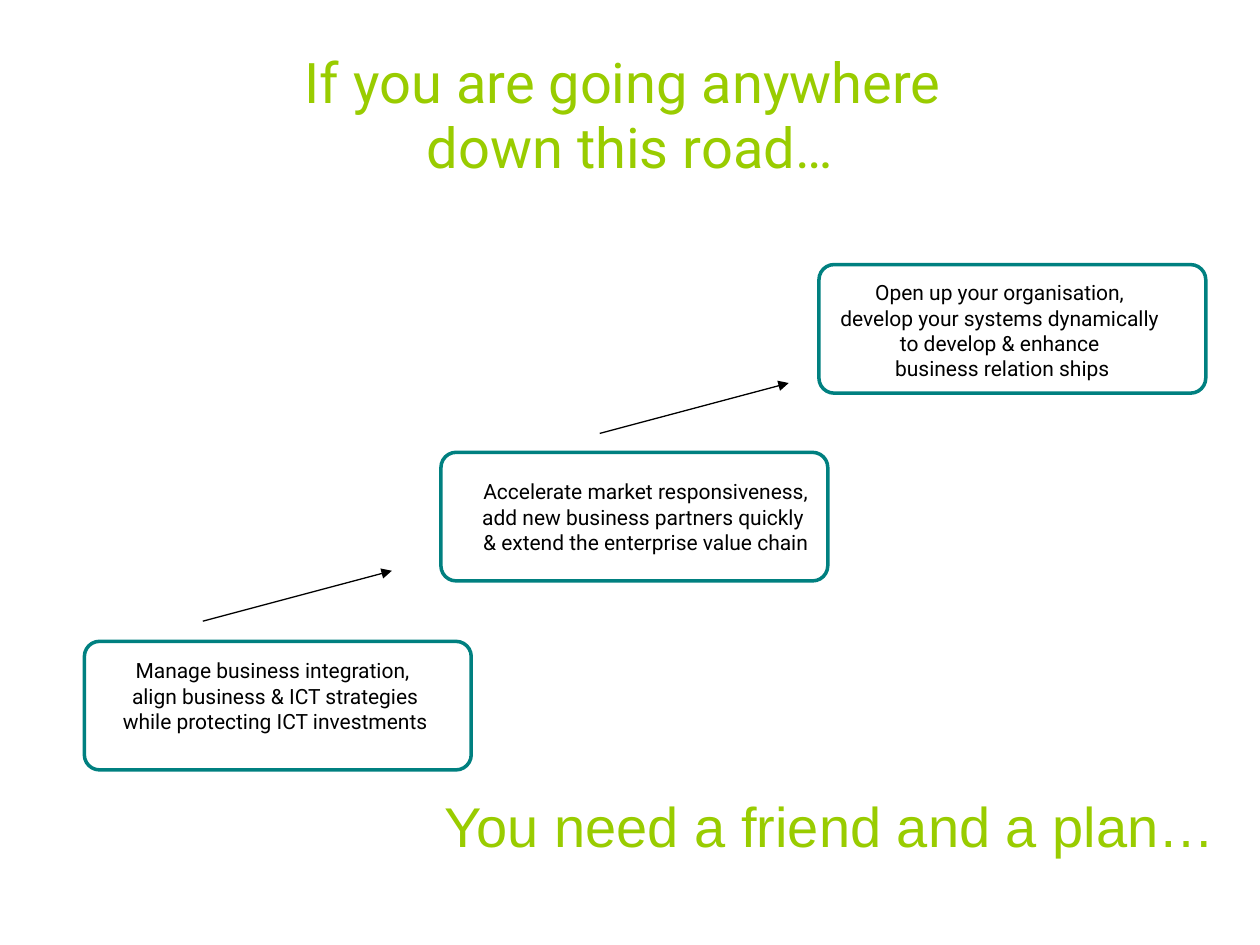
from lxml import etree
from pptx import Presentation
from pptx.dml.color import RGBColor
from pptx.enum.shapes import MSO_CONNECTOR, MSO_SHAPE
from pptx.enum.text import MSO_ANCHOR, PP_ALIGN
from pptx.oxml.ns import qn
from pptx.util import Inches, Pt

ROUNDED = MSO_SHAPE.ROUNDED_RECTANGLE
STRAIGHT = MSO_CONNECTOR.STRAIGHT
TOP, MIDDLE = MSO_ANCHOR.TOP, MSO_ANCHOR.MIDDLE
LEFT, CENTER = PP_ALIGN.LEFT, PP_ALIGN.CENTER

LIME = RGBColor(0x99, 0xCC, 0x00)
TEAL = RGBColor(0x00, 0x80, 0x80)
BLACK = RGBColor(0x00, 0x00, 0x00)

BOX_W, BOX_H, CORNER = 3.07, 1.02, 0.12
ARROW_W, ARROW_RISE = 1.5, 0.4

STEPS = [
    ((0.67, 5.09), (0.8, 5.18, 2.77, 0.7),
     "Manage business integration, \n"
     "align business & ICT strategies\n"
     "while protecting ICT investments"),
    ((3.5, 3.59), (3.63, 3.76, 2.99, 0.7),
     "Accelerate market responsiveness,\n"
     "add new business partners quickly \n"
     "& extend the enterprise value chain"),
    ((6.5, 2.1), (6.5, 2.18, 2.91, 0.9),
     "Open up your organisation, \n"
     "develop your systems dynamically \n"
     "to develop & enhance \n"
     "business relation ships"),
]
ARROWS = [(1.61, 4.93), (4.76, 3.44)]


def add_text(s, area, text, size, color, font="Roboto", align=CENTER,
             anchor=TOP, wrap=True, spacing=0.97):
    """Add a text box and return its text frame."""
    tf = s.shapes.add_textbox(*map(Inches, area)).text_frame
    tf.text = text
    tf.word_wrap = wrap
    tf.vertical_anchor = anchor
    tf.paragraphs[0].line_spacing = spacing
    for p in tf.paragraphs:
        p.alignment = align
        for r in p.runs:
            r.font.name = font
            r.font.size = Pt(size)
            r.font.color.rgb = color
    return tf


def add_box(s, left, top):
    """Add an unfilled rounded frame for one step."""
    sp = s.shapes.add_shape(ROUNDED, Inches(left), Inches(top),
                            Inches(BOX_W), Inches(BOX_H))
    sp.adjustments[0] = CORNER / BOX_H
    sp.shadow.inherit = False
    sp.fill.background()
    sp.line.color.rgb = TEAL
    sp.line.width = Pt(2)


def add_arrow(s, x, y):
    """Add a rising arrow that starts at the given point."""
    line = s.shapes.add_connector(STRAIGHT, Inches(x), Inches(y),
                                  Inches(x + ARROW_W), Inches(y - ARROW_RISE))
    line.line.color.rgb = BLACK
    line.line.width = Pt(0.75)
    etree.SubElement(line.line._get_or_add_ln(), qn("a:tailEnd"), type="triangle")
    etree.SubElement(line._element.spPr, qn("a:effectLst"))


def main():
    """Build the slide and save it."""
    prs = Presentation()
    prs.slide_width, prs.slide_height = Inches(10), Inches(7.5)
    s = prs.slides.add_slide(prs.slide_layouts[6])
    add_text(s, (0.5, 0.3, 9, 1.25),
             "If you are going anywhere \vdown this road…", 32, LIME, anchor=MIDDLE)
    for corner, area, text in STEPS:
        add_box(s, *corner)
        add_text(s, area, text, 12, BLACK, wrap=False)
    for start in ARROWS:
        add_arrow(s, *start)
    tf = add_text(s, (3.43, 6.28, 6.57, 0.8), "You need a friend and a plan…",
                  32, LIME, font="Arial", align=LEFT, spacing=0.93)
    tf.paragraphs[0].space_before = Pt(8)
    prs.save("out.pptx")


if __name__ == "__main__":
    main()
